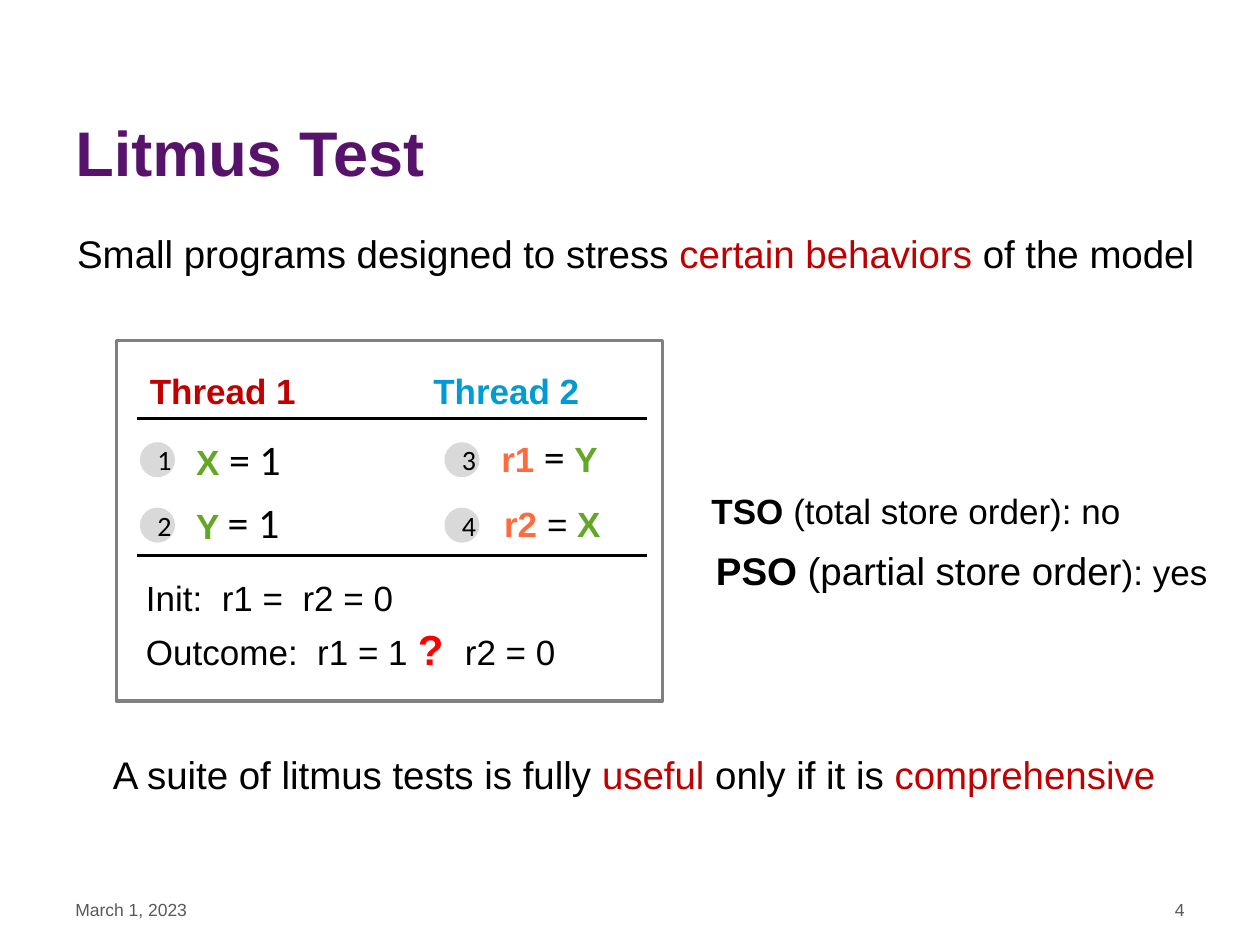
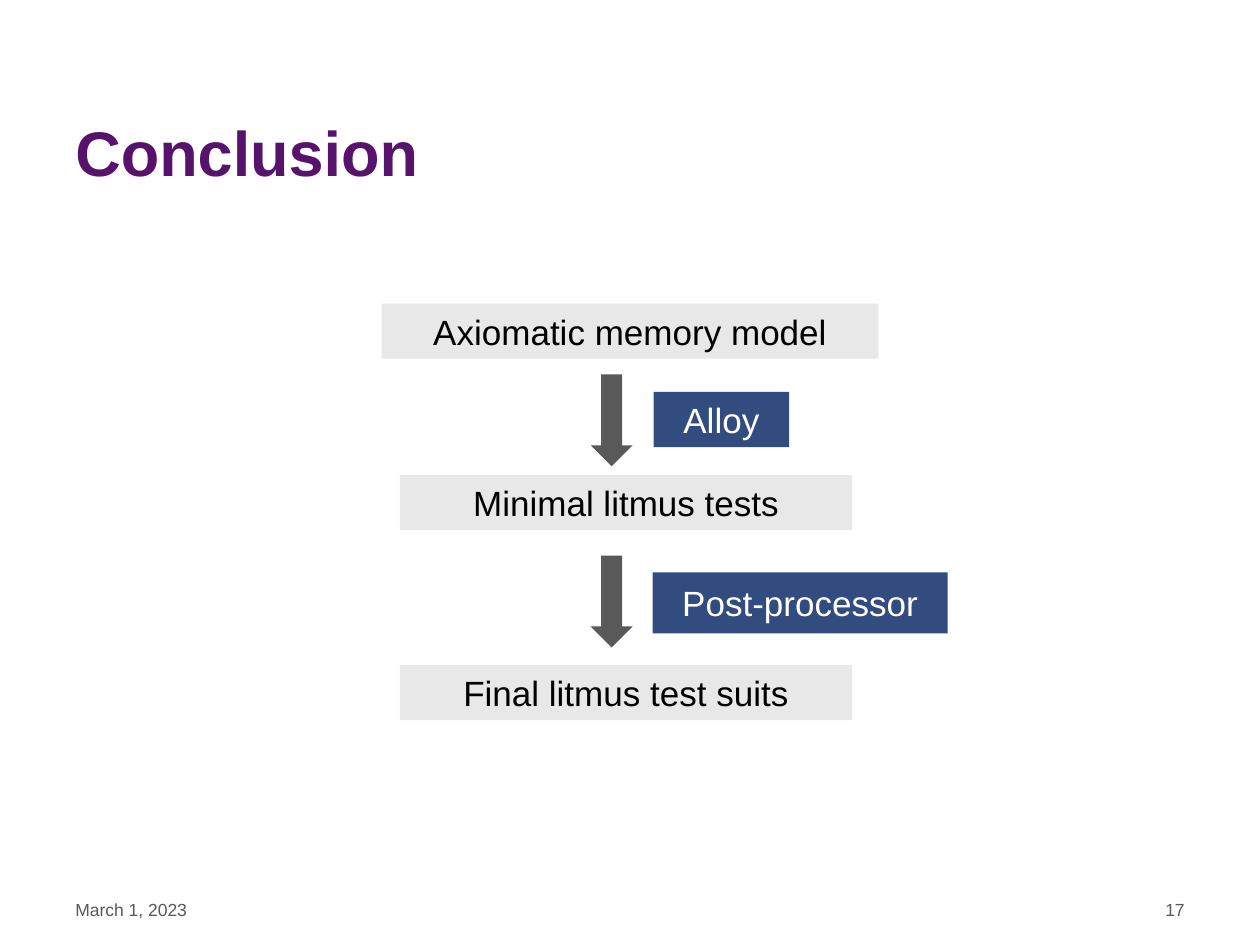
from lxml.etree import SubElement
from pptx import Presentation
from pptx.dml.color import RGBColor
from pptx.enum.shapes import MSO_CONNECTOR, MSO_SHAPE
from pptx.enum.text import MSO_ANCHOR, PP_ALIGN
from pptx.oxml.ns import qn
from pptx.util import Pt

BLACK, WHITE, PURPLE = "000000", "FFFFFF", "57126C"
RED, BRIGHT_RED, BLUE, NAVY = "C00000", "FF0000", "009BD2", "002060"
GREEN, ORANGE = "63A725", "FF6B3C"
LIGHT, MID, DARK = "D9D9D9", "808080", "595959"
HEADING, BODY = 22, 20


def paint(target, color):
    """Give a font, fill or line its solid colour."""
    if hasattr(target, "solid"):
        target.solid()
        target.fore_color.rgb = RGBColor.from_string(color)
    else:
        target.color.rgb = RGBColor.from_string(color)


def style(font, color=None, size=None, bold=None, name=None):
    """Set only the font properties that are given."""
    if color:
        paint(font, color)
    if size:
        font.size = Pt(size)
    if bold is not None:
        font.bold = bold
    if name:
        font.name = name


def write(frame, pieces, size, color=BLACK, bold=False, name="Arial",
          align=PP_ALIGN.LEFT, anchor=MSO_ANCHOR.TOP):
    """Fill a text frame with one paragraph of plain or (text, overrides) pieces."""
    frame.word_wrap = True
    frame.vertical_anchor = anchor
    paragraph = frame.paragraphs[0]
    paragraph.alignment = align
    style(paragraph.font, color, size, bold, name)
    for piece in [pieces] if isinstance(pieces, str) else pieces:
        words, overrides = (piece, {}) if isinstance(piece, str) else piece
        run = paragraph.add_run()
        run.text = words
        style(run.font, **overrides)


def add_text(slide, left, top, width, height, pieces, size=BODY, **look):
    """Add a wrapped text box."""
    box = slide.shapes.add_textbox(Pt(left), Pt(top), Pt(width), Pt(height))
    write(box.text_frame, pieces, size, **look)


def add_block(slide, kind, left, top, width, height, fill=None, opacity=100):
    """Add a flat shape without outline."""
    block = slide.shapes.add_shape(kind, Pt(left), Pt(top), Pt(width), Pt(height))
    block.shadow.inherit = False
    block.line.fill.background()
    if fill:
        paint(block.fill, fill)
    else:
        block.fill.background()
    if opacity < 100:
        solid = block.fill._xPr.find(qn("a:solidFill"))
        SubElement(solid[0], qn("a:alpha"), val=str(opacity * 1000))
    return block


def add_rule(slide, left, right, y):
    """Add a horizontal black rule."""
    rule = slide.shapes.add_connector(
        MSO_CONNECTOR.STRAIGHT, Pt(left), Pt(y), Pt(right), Pt(y))
    paint(rule.line, BLACK)
    rule.line.width = Pt(1.5)
    SubElement(rule._element.spPr, qn("a:effectLst"))


def add_badge(slide, left, top, number):
    """Add a numbered grey disc for one instruction."""
    disc = add_block(slide, MSO_SHAPE.OVAL, left, top, 20, 20, LIGHT)
    write(disc.text_frame, number, 16, name="Calibri",
          align=PP_ALIGN.CENTER, anchor=MSO_ANCHOR.MIDDLE)


def add_box(slide, left, top, width, height, label, fill, opacity, color):
    """Add a translucent box with a centred label."""
    box = add_block(slide, MSO_SHAPE.RECTANGLE, left, top, width, height, fill, opacity)
    write(box.text_frame, label, BODY, color=color,
          align=PP_ALIGN.CENTER, anchor=MSO_ANCHOR.MIDDLE)


def new_slide(deck, title, number):
    """Start a slide with its title, date and page number."""
    slide = deck.slides.add_slide(deck.slide_layouts[6])
    add_text(slide, 36, 9.5, 594, 102, title, 36, color=PURPLE, bold=True,
             anchor=MSO_ANCHOR.BOTTOM)
    add_text(slide, 36, 510, 168, 28, "March 1, 2023", 10, color=DARK)
    add_text(slide, 516, 510, 168, 28, number, 10, color=DARK, align=PP_ALIGN.RIGHT)
    return slide


def add_program(slide):
    """Draw the framed two-thread litmus program."""
    green = {"color": GREEN, "bold": True}
    orange = {"color": ORANGE, "bold": True}
    calibri = {"size": 24, "name": "Calibri"}

    for left, thread, color in ((78.5, "Thread 1", RED), (240.5, "Thread 2", BLUE)):
        add_text(slide, left, 207.5, 99, 32, thread, color=color, bold=True)
    for y in (239, 317.5):
        add_rule(slide, 78.5, 370, y)
    for index in range(4):
        column, row = divmod(index, 2)
        add_badge(slide, 80 + 174 * column, 252.7 + 37.4 * row, str(index + 1))

    add_text(slide, 105, 244, 91, 36, [("X", green), (" = 1", calibri)])
    add_text(slide, 105, 285, 30, 32, "Y", **green)
    add_text(slide, 123, 280, 60, 36, "= 1", **calibri)
    add_text(slide, 279.4, 242.6, 91, 36, [("r1", orange), (" = ", calibri), ("Y", green)])
    add_text(slide, 281, 283.7, 91, 32, [("r2 ", orange), "= ", ("X", green)])
    add_text(slide, 76.3, 326, 220, 32, "Init:  r1 =  r2 = 0")
    question = {"color": BRIGHT_RED, "size": 24, "bold": True}
    add_text(slide, 76.3, 353, 292, 36, ["Outcome:  r1 = 1 ", ("? ", question), " r2 = 0"])

    frame = add_block(slide, MSO_SHAPE.RECTANGLE, 66.5, 194.5, 312, 206)
    paint(frame.line, MID)
    frame.line.width = Pt(2)


def add_litmus_slide(deck):
    """Build the slide that explains litmus tests."""
    slide = new_slide(deck, "Litmus Test", "4")
    red, strong = {"color": RED}, {"bold": True}
    add_text(slide, 37, 128, 696, 34,
             ["Small programs designed to stress ", ("certain behaviors ", red),
              "of the model"], HEADING)
    add_program(slide)
    add_text(slide, 399.5, 276, 271, 32, [("TSO ", strong), "(total store order): no"])
    add_text(slide, 402, 309, 303, 34,
             [("PSO ", strong), "(partial store order", ("): yes", {"size": BODY})], HEADING)
    add_text(slide, 57.5, 425.5, 656, 34,
             ["A suite of litmus tests is fully ", ("useful", red),
              " only if it is ", ("comprehensive", red)], HEADING)


def add_conclusion_slide(deck):
    """Build the flow from memory model to final test suites."""
    slide = new_slide(deck, "Conclusion", "17")
    stages = ((218, 173.5, 284, "Axiomatic memory model"),
              (228.5, 271.5, 258.5, "Minimal litmus tests"),
              (228.5, 380, 258.5, "Final litmus test suits"))
    for left, top, width, stage in stages:
        add_box(slide, left, top, width, 31.5, stage, LIGHT, 60, BLACK)
    for top in (214, 317.5):
        add_block(slide, MSO_SHAPE.DOWN_ARROW, 337.5, top, 24, 52.5, DARK)
    tools = ((373.5, 224, 77.5, 31.5, "Alloy"), (373, 327, 168.5, 35, "Post-processor"))
    for left, top, width, height, tool in tools:
        add_box(slide, left, top, width, height, tool, NAVY, 80, WHITE)


def main():
    """Build and save the deck."""
    deck = Presentation()
    deck.slide_width, deck.slide_height = Pt(720), Pt(540)
    add_litmus_slide(deck)
    add_conclusion_slide(deck)
    deck.save("out.pptx")


if __name__ == "__main__":
    main()
